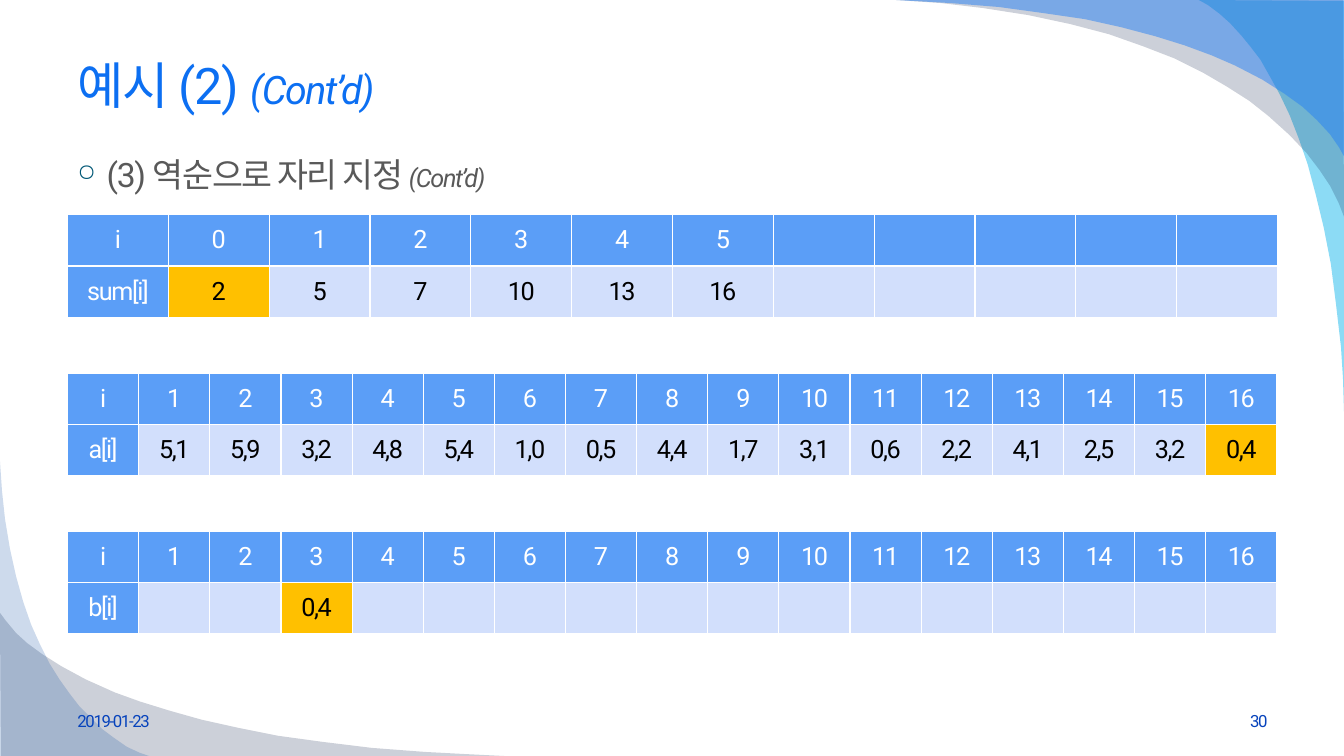
from lxml import etree
from pptx import Presentation
from pptx.dml.color import RGBColor
from pptx.enum.text import MSO_ANCHOR, PP_ALIGN
from pptx.oxml.ns import qn
from pptx.util import Inches, Pt

MIDDLE, TOP = MSO_ANCHOR.MIDDLE, MSO_ANCHOR.TOP
LEFT, CENTER, RIGHT = PP_ALIGN.LEFT, PP_ALIGN.CENTER, PP_ALIGN.RIGHT

FONT = "Roboto"
COLORS = {
    "title": "0C6FF2", "body": "595959", "bullet": "005876", "foot": "0743BC",
    "head": "5B9EF7", "cell": "D2DFFC", "mark": "FFC000",
    "white": "FFFFFF", "black": "000000",
    "cyan": "00B1E9", "navy": "021741", "blue": "247FF4", "deep": "084AA1",
}

# (text, size, italic)
TITLE = [("예시 (2) ", 36, False), ("(Cont’d)", 28, True)]
BODY = [("(3) 역순으로 자리 지정 ", 24, False), ("(Cont’d)", 18, True)]
DATE = [("2019-01-23", 12, False)]
PAGE = [("30", 12, False)]

# top, label, indices, values by index, marked index, columns
STEPS = [
    (2.13, "sum[i]", range(6),
     dict(enumerate(["2", "5", "7", "10", "13", "16"])), 0, 12),
    (3.7, "a[i]", range(1, 17),
     dict(enumerate(["5,1", "5,9", "3,2", "4,8", "5,4", "1,0", "0,5", "4,4",
                     "1,7", "3,1", "0,6", "2,2", "4,1", "2,5", "3,2", "0,4"], 1)), 16, 17),
    (5.27, "b[i]", range(1, 17), {3: "0,4"}, 3, 17),
]
EDGE, WIDE, ROW = 0.67, 12, 0.51

# color, opacity in percent, outline points
WAVES = [
    ("cyan", 45, [
        (13.33, 4.08), (13.33, 0.01), (11.89, 0), (11.98, 0.05), (12.1, 0.14),
        (12.2, 0.23), (12.31, 0.35), (12.4, 0.46), (12.5, 0.59), (12.59, 0.75),
        (12.69, 0.93), (12.79, 1.14), (12.88, 1.37), (12.97, 1.63), (13.05, 1.93),
        (13.13, 2.26), (13.2, 2.62), (13.25, 3.01), (13.3, 3.44), (13.32, 3.75)]),
    ("navy", 20, [
        (8.89, 0), (13.32, 0), (13.33, 2.15), (13.28, 2.02), (13.19, 1.84),
        (13.09, 1.69), (12.96, 1.52), (12.79, 1.34), (12.58, 1.15), (12.39, 1),
        (12.17, 0.86), (11.93, 0.72), (11.65, 0.58), (11.34, 0.46), (11, 0.34),
        (10.62, 0.24), (10.2, 0.15), (9.75, 0.08), (9.33, 0.03)]),
    ("blue", 49, [
        (8.89, 0), (13.33, 0), (13.33, 1.55), (13.28, 1.46), (13.19, 1.33),
        (13.06, 1.19), (12.92, 1.06), (12.74, 0.93), (12.52, 0.79), (12.25, 0.65),
        (12.02, 0.55), (11.75, 0.45), (11.46, 0.36), (11.12, 0.27), (10.76, 0.19),
        (10.35, 0.13), (9.91, 0.07), (9.42, 0.03)]),
    ("navy", 20, [
        (5, 7.5), (0.01, 7.5), (0, 6.08), (0.06, 6.16), (0.16, 6.28),
        (0.27, 6.38), (0.42, 6.49), (0.61, 6.61), (0.85, 6.74), (1.14, 6.87),
        (1.39, 6.96), (1.68, 7.05), (2, 7.14), (2.36, 7.22), (2.76, 7.3),
        (3.2, 7.36), (3.69, 7.42), (4.22, 7.46), (4.6, 7.48)]),
    ("deep", 20, [
        (0, 4.58), (0, 7.5), (1.48, 7.5), (1.39, 7.47), (1.26, 7.41),
        (1.13, 7.32), (1.01, 7.23), (0.89, 7.11), (0.79, 7.01), (0.69, 6.88),
        (0.59, 6.74), (0.49, 6.58), (0.4, 6.4), (0.31, 6.2), (0.23, 5.97),
        (0.16, 5.72), (0.1, 5.45), (0.05, 5.15), (0.02, 4.87)]),
]


def rgb(name):
    return RGBColor.from_string(COLORS[name])


def add_wave(slide, color, alpha, points):
    pen = slide.shapes.build_freeform(*[Inches(v) for v in points[0]])
    pen.add_line_segments([(Inches(x), Inches(y)) for x, y in points[1:]], close=True)
    wave = pen.convert_to_shape()
    wave.shadow.inherit = False
    wave.fill.solid()
    wave.fill.fore_color.rgb = rgb(color)
    wave.line.fill.background()
    tint = wave.fill._xPr.find(".//" + qn("a:srgbClr"))
    etree.SubElement(tint, qn("a:alpha"), val=str(alpha * 1000))


def add_runs(para, runs, color, align):
    para.alignment = align
    for text, size, slant in runs:
        run = para.add_run()
        run.text = text
        font = run.font
        font.name, font.size = FONT, Pt(size)
        font.bold, font.italic = False, slant
        font.color.rgb = rgb(color)
        run._r.get_or_add_rPr().set("spc", "-100")


def add_text(slide, box, runs, color, align=LEFT, anchor=MIDDLE):
    frame = slide.shapes.add_textbox(*[Inches(v) for v in box]).text_frame
    frame.word_wrap = True
    frame.vertical_anchor = anchor
    add_runs(frame.paragraphs[0], runs, color, align)
    return frame.paragraphs[0]


def add_bullet(para):
    props = para._p.get_or_add_pPr()
    props.set("marL", str(Inches(0.29)))
    props.set("indent", str(-Inches(0.29)))
    tint = etree.SubElement(props, qn("a:buClr"))
    etree.SubElement(tint, qn("a:srgbClr"), val=COLORS["bullet"])
    etree.SubElement(props, qn("a:buSzPct"), val="70000")
    etree.SubElement(props, qn("a:buChar"), char="○")


def fill_cell(cell, text, fill, color):
    cell.fill.solid()
    cell.fill.fore_color.rgb = rgb(fill)
    cell.vertical_anchor = MIDDLE
    if text:
        add_runs(cell.text_frame.paragraphs[0], [(text, 18, False)], color, CENTER)


def add_step(slide, top, label, keys, values, mark, count):
    """Index row over value row, with the marked index highlighted."""
    grid = slide.shapes.add_table(2, count, Inches(EDGE), Inches(top),
                                  Inches(WIDE), Inches(2 * ROW)).table
    for row in grid.rows:
        row.height = Inches(ROW)
    for col in grid.columns:
        col.width = Inches(WIDE / count)
    fill_cell(grid.cell(0, 0), "i", "head", "white")
    fill_cell(grid.cell(1, 0), label, "head", "white")
    for col in range(1, count):
        key = keys.start + col - 1
        fill_cell(grid.cell(0, col), str(key) if key in keys else "", "head", "white")
        fill_cell(grid.cell(1, col), values.get(key, ""),
                  "mark" if key == mark else "cell", "black")


def main():
    deck = Presentation()
    deck.slide_width, deck.slide_height = Inches(13.33), Inches(7.5)
    slide = deck.slides.add_slide(deck.slide_layouts[6])
    for wave in WAVES:
        add_wave(slide, *wave)
    add_text(slide, (EDGE, 0.33, WIDE, 1.01), TITLE, "title")
    add_bullet(add_text(slide, (EDGE, 1.48, WIDE, 5.22), BODY, "body", anchor=TOP))
    add_text(slide, (EDGE, 6.95, 3.11, 0.4), DATE, "foot")
    add_text(slide, (9.56, 6.95, 3.11, 0.4), PAGE, "foot", RIGHT)
    for step in STEPS:
        add_step(slide, *step)
    deck.save("out.pptx")


if __name__ == "__main__":
    main()
